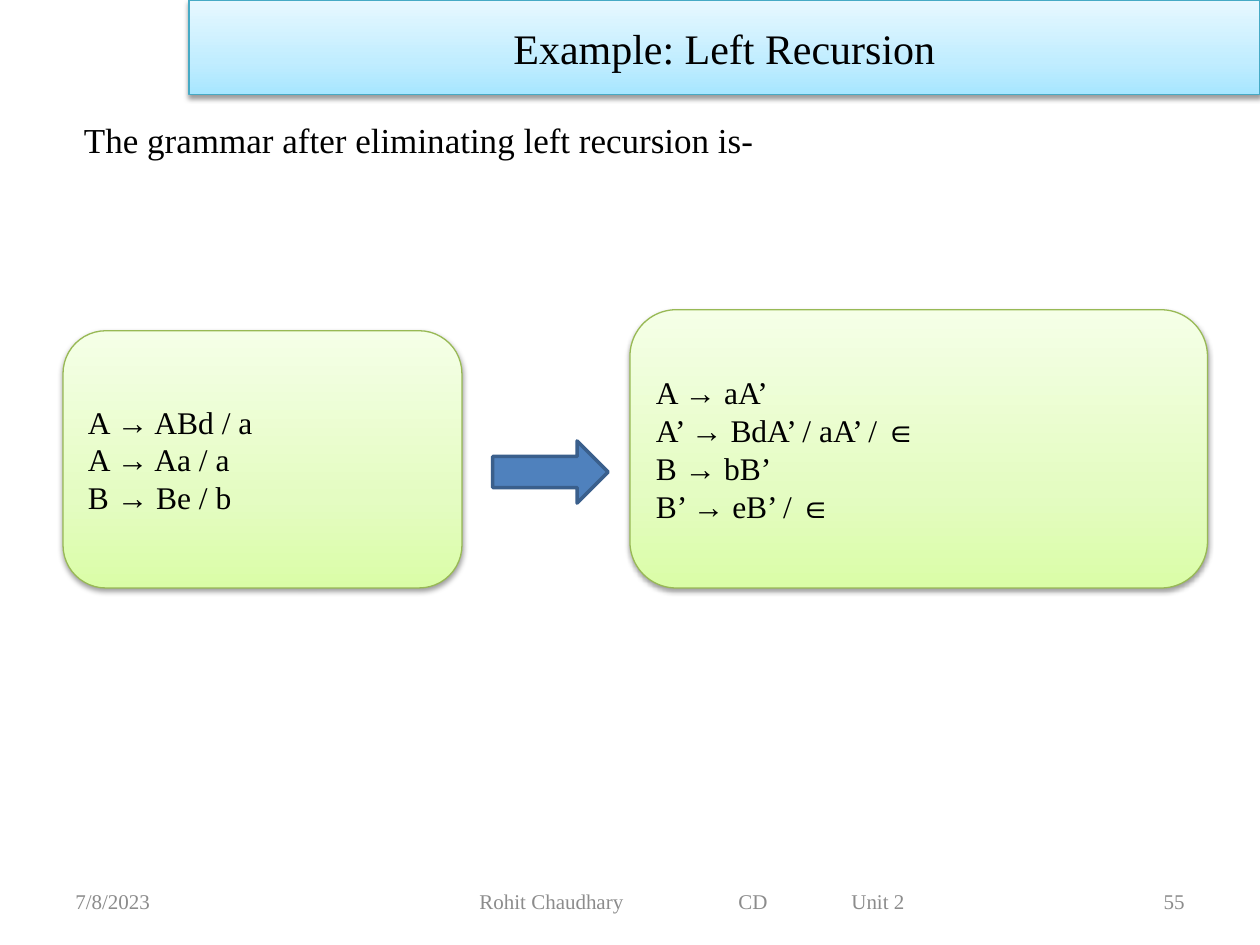
from dataclasses import dataclass
from lxml.etree import SubElement
from pptx import Presentation
from pptx.dml.color import RGBColor
from pptx.enum.shapes import MSO_SHAPE
from pptx.enum.text import MSO_ANCHOR, PP_ALIGN
from pptx.oxml.ns import qn
from pptx.util import Pt


@dataclass(frozen=True)
class Theme:
    font: str = "Times New Roman"
    ink: str = "000000"
    gray: str = "8C8C8C"
    blue: tuple = ("A7E6FF", "C1EDFF", "E7F8FF")
    rim: str = "46AAC5"
    green: tuple = ("DAFDA7", "E4FCC2", "F5FFE7")
    edge: str = "98B955"
    arrow: str = "4F81BD"
    border: str = "3A5F8C"
    head: int = 24
    body: int = 20
    rule: int = 18
    foot: int = 12


THEME = Theme()


def rgb(code):
    return RGBColor.from_string(code)


def place(shape, box):
    shape.left, shape.top, shape.width, shape.height = map(Pt, box)


def write(frame, lines, size, color=THEME.ink, align=PP_ALIGN.LEFT,
          anchor=MSO_ANCHOR.MIDDLE, tabs=()):
    frame.word_wrap = True
    frame.vertical_anchor = anchor
    for i, line in enumerate(lines):
        para = frame.paragraphs[0] if i == 0 else frame.add_paragraph()
        para.alignment = align
        if tabs:
            stops = SubElement(para._p.get_or_add_pPr(), qn("a:tabLst"))
            for pos in tabs:
                SubElement(stops, qn("a:tab"), pos=str(Pt(pos)), algn="l")
        run = para.add_run()
        run.text = line
        run.font.name = THEME.font
        run.font.size = Pt(size)
        run.font.color.rgb = rgb(color)


def shade(shape, colors, edge):
    """Upward three-stop gradient, thin edge and soft drop shadow."""
    shape.fill.gradient()
    shape.fill.gradient_angle = 90
    props = shape._element.spPr
    stops = props.find(".//" + qn("a:gsLst"))
    for stop in list(stops):
        stops.remove(stop)
    for pos, color in zip((0, 35, 100), colors):
        stop = SubElement(stops, qn("a:gs"), pos=str(pos * 1000))
        SubElement(stop, qn("a:srgbClr"), val=color)
    shape.line.color.rgb = rgb(edge)
    shape.line.width = Pt(0.75)
    shape.shadow.inherit = False
    effects = props.find(qn("a:effectLst"))
    drop = SubElement(effects, qn("a:outerShdw"), blurRad=str(Pt(3.1)),
                      dist=str(Pt(1.6)), dir="5400000", rotWithShape="0")
    tint = SubElement(drop, qn("a:srgbClr"), val=THEME.ink)
    SubElement(tint, qn("a:alpha"), val="38000")


def banner(slide, box, text):
    title = slide.shapes.title
    place(title, box)
    shade(title, THEME.blue, THEME.rim)
    write(title.text_frame, [text], THEME.head, align=PP_ALIGN.CENTER)


def intro(slide, box, text):
    frame = slide.shapes.add_textbox(*map(Pt, box)).text_frame
    frame.margin_left = Pt(12)
    write(frame, [text], THEME.body, anchor=MSO_ANCHOR.TOP)


def card(slide, box, rules):
    shape = slide.shapes.add_shape(MSO_SHAPE.ROUNDED_RECTANGLE, *map(Pt, box))
    shade(shape, THEME.green, THEME.edge)
    write(shape.text_frame, rules, THEME.rule)


def arrow(slide, box):
    shape = slide.shapes.add_shape(MSO_SHAPE.RIGHT_ARROW, *map(Pt, box))
    shape.shadow.inherit = False
    shape.fill.solid()
    shape.fill.fore_color.rgb = rgb(THEME.arrow)
    shape.line.color.rgb = rgb(THEME.border)
    shape.line.width = Pt(2)


def grammar(slide, box):
    """Grammar before and after, with the arrow between them."""
    left, top, width, height = box
    card(slide, (left + 324, top, width - 324, height),
         ["A → aA’", "A’ → BdA’ / aA’ / ∈", "B → bB’", "B’ → eB’ / ∈"])
    card(slide, (left, top + 12, 228, height - 12),
         ["A → ABd / a", "A → Aa / a", "B → Be / b"])
    arrow(slide, (left + 245.5, top + 75, 66, 35.5))


def footer(slide, box):
    left, top, width, height = box
    side = 168
    parts = [
        (0, side, "7/8/2023", PP_ALIGN.LEFT, 7.2, ()),
        (210, 300, "Rohit Chaudhary\tCD\tUnit 2", PP_ALIGN.LEFT, 28,
         (148, 212.5)),
        (width - side, side, "55", PP_ALIGN.RIGHT, 7.2, ()),
    ]
    for shift, wide, text, align, inset, tabs in parts:
        spot = (left + shift, top, wide, height)
        frame = slide.shapes.add_textbox(*map(Pt, spot)).text_frame
        frame.margin_left = Pt(inset)
        write(frame, [text], THEME.foot, THEME.gray, align, tabs=tabs)


def main():
    deck = Presentation()
    deck.slide_width, deck.slide_height = Pt(720), Pt(540)
    slide = deck.slides.add_slide(deck.slide_layouts[5])
    banner(slide, (108, 0, 612, 54), "Example: Left Recursion")
    intro(slide, (36, 64, 648, 398),
          "The grammar after eliminating left recursion is-")
    grammar(slide, (36, 177, 654, 159))
    footer(slide, (36, 500.5, 648, 28.75))
    deck.save("out.pptx")


if __name__ == "__main__":
    main()
